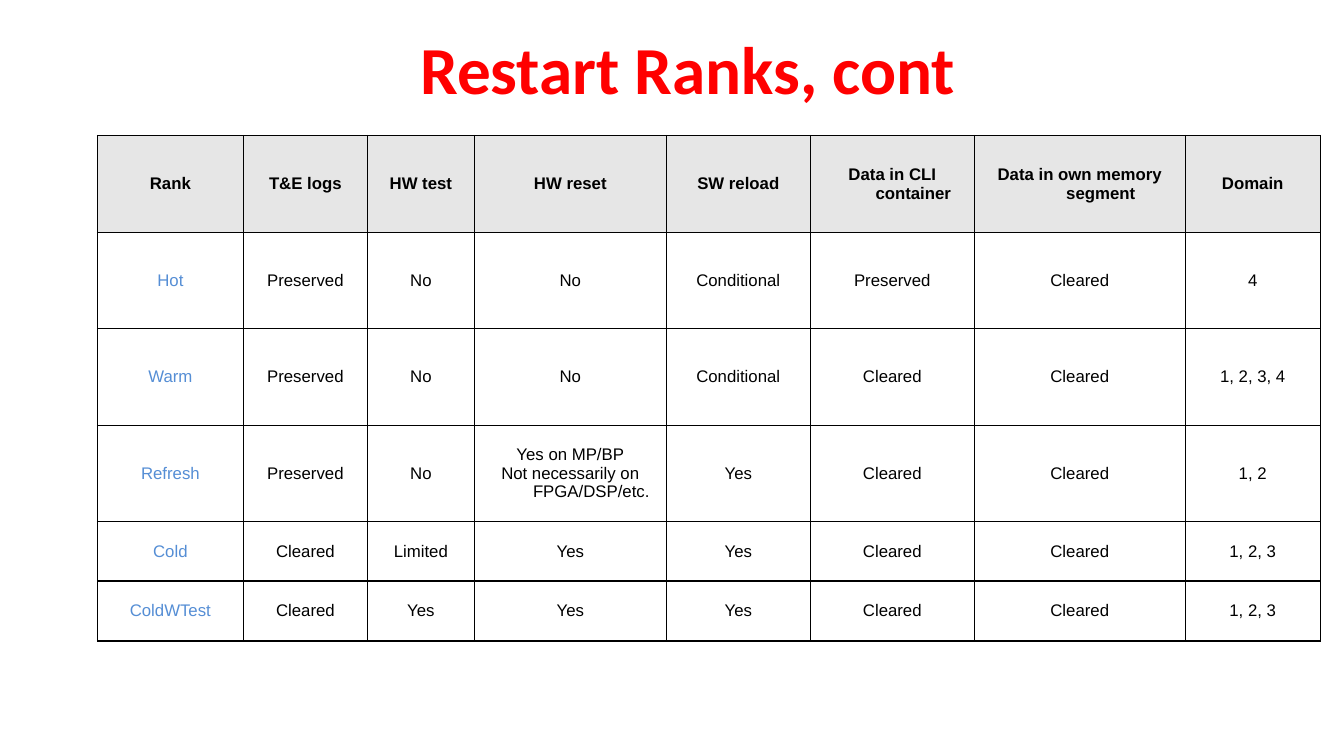
from dataclasses import dataclass

from lxml import etree
from pptx import Presentation
from pptx.dml.color import RGBColor
from pptx.enum.text import MSO_ANCHOR, PP_ALIGN
from pptx.oxml.ns import qn
from pptx.util import Pt

CENTER = PP_ALIGN.CENTER
MIDDLE = MSO_ANCHOR.MIDDLE
COLORS = {"title": "FF0000", "text": "000000", "rank": "558ED5",
          "header": "E6E6E6", "border": "000000"}
COLUMN_WIDTHS = [104.3, 88.6, 76.4, 137.1, 102.9, 117.1, 150.7, 96.4]
ROW_HEIGHTS = [69, 69, 69, 68.5, 42.8, 42.8]
HANGING_INDENT = 30


@dataclass
class Restart:
    rank: str
    logs: str
    hardware_test: str
    hardware_reset: str
    software_reload: str
    container_data: str
    segment_data: str
    domain: str

    def values(self) -> list[str]:
        return [self.rank, self.logs, self.hardware_test, self.hardware_reset,
                self.software_reload, self.container_data, self.segment_data, self.domain]


HEADINGS = Restart("Rank", "T&E logs", "HW test", "HW reset", "SW reload",
                   "Data in CLI container", "Data in own memory segment", "Domain")
RESTARTS = [
    Restart("Hot", "Preserved", "No", "No", "Conditional", "Preserved", "Cleared", "4"),
    Restart("Warm", "Preserved", "No", "No", "Conditional", "Cleared", "Cleared", "1, 2, 3, 4"),
    Restart("Refresh", "Preserved", "No", "Yes on MP/BP\nNot necessarily on FPGA/DSP/etc.",
            "Yes", "Cleared", "Cleared", "1, 2"),
    Restart("Cold", "Cleared", "Limited", "Yes", "Yes", "Cleared", "Cleared", "1, 2, 3"),
    Restart("ColdWTest", "Cleared", "Yes", "Yes", "Yes", "Cleared", "Cleared", "1, 2, 3"),
]


def write_text(frame, text: str, *, size: float, font: str, color: str,
               bold: bool = False, hanging: float = 0) -> None:
    frame.word_wrap = True
    for index, line in enumerate(text.split("\n")):
        para = frame.add_paragraph() if index else frame.paragraphs[0]
        para.alignment = CENTER
        if hanging:
            properties = para._p.get_or_add_pPr()
            properties.set("marL", str(Pt(hanging)))
            properties.set("indent", str(-Pt(hanging)))
        span = para.add_run()
        span.text = line
        span.font.size = Pt(size)
        span.font.name = font
        span.font.bold = bold
        span.font.color.rgb = RGBColor.from_string(COLORS[color])


def add_borders(cell, width: float) -> None:
    properties = cell._tc.get_or_add_tcPr()
    for side in ("a:lnL", "a:lnR", "a:lnT", "a:lnB"):
        line = etree.SubElement(properties, qn(side), w=str(Pt(width)))
        fill = etree.SubElement(line, qn("a:solidFill"))
        etree.SubElement(fill, qn("a:srgbClr"), val=COLORS["border"])


def add_title(page) -> None:
    box = page.shapes.add_textbox(Pt(40), Pt(24), Pt(903), Pt(48))
    box.text_frame.vertical_anchor = MIDDLE
    write_text(box.text_frame, "Restart Ranks, cont",
               size=48, font="Calibri", color="title", bold=True)


def add_restart_table(page) -> None:
    rows = [HEADINGS, *RESTARTS]
    frame = page.shapes.add_table(len(rows), len(COLUMN_WIDTHS), Pt(69.6), Pt(96.8),
                                  Pt(sum(COLUMN_WIDTHS)), Pt(sum(ROW_HEIGHTS)))
    table = frame.table
    for column, width in zip(table.columns, COLUMN_WIDTHS):
        column.width = Pt(width)
    for row_index, (restart, height) in enumerate(zip(rows, ROW_HEIGHTS)):
        table.rows[row_index].height = Pt(height)
        is_header = row_index == 0
        for column_index, value in enumerate(restart.values()):
            cell = table.cell(row_index, column_index)
            cell.vertical_anchor = MIDDLE
            add_borders(cell, 1)
            if is_header:
                cell.fill.solid()
                cell.fill.fore_color.rgb = RGBColor.from_string(COLORS["header"])
            else:
                cell.fill.background()
            is_rank = column_index == 0 and not is_header
            write_text(cell.text_frame, value, size=12, font="Arial", bold=is_header,
                       color="rank" if is_rank else "text", hanging=HANGING_INDENT)


def main() -> None:
    deck = Presentation()
    deck.slide_width, deck.slide_height = Pt(960), Pt(540)
    page = deck.slides.add_slide(deck.slide_layouts[6])
    add_title(page)
    add_restart_table(page)
    deck.save("out.pptx")


if __name__ == "__main__":
    main()
